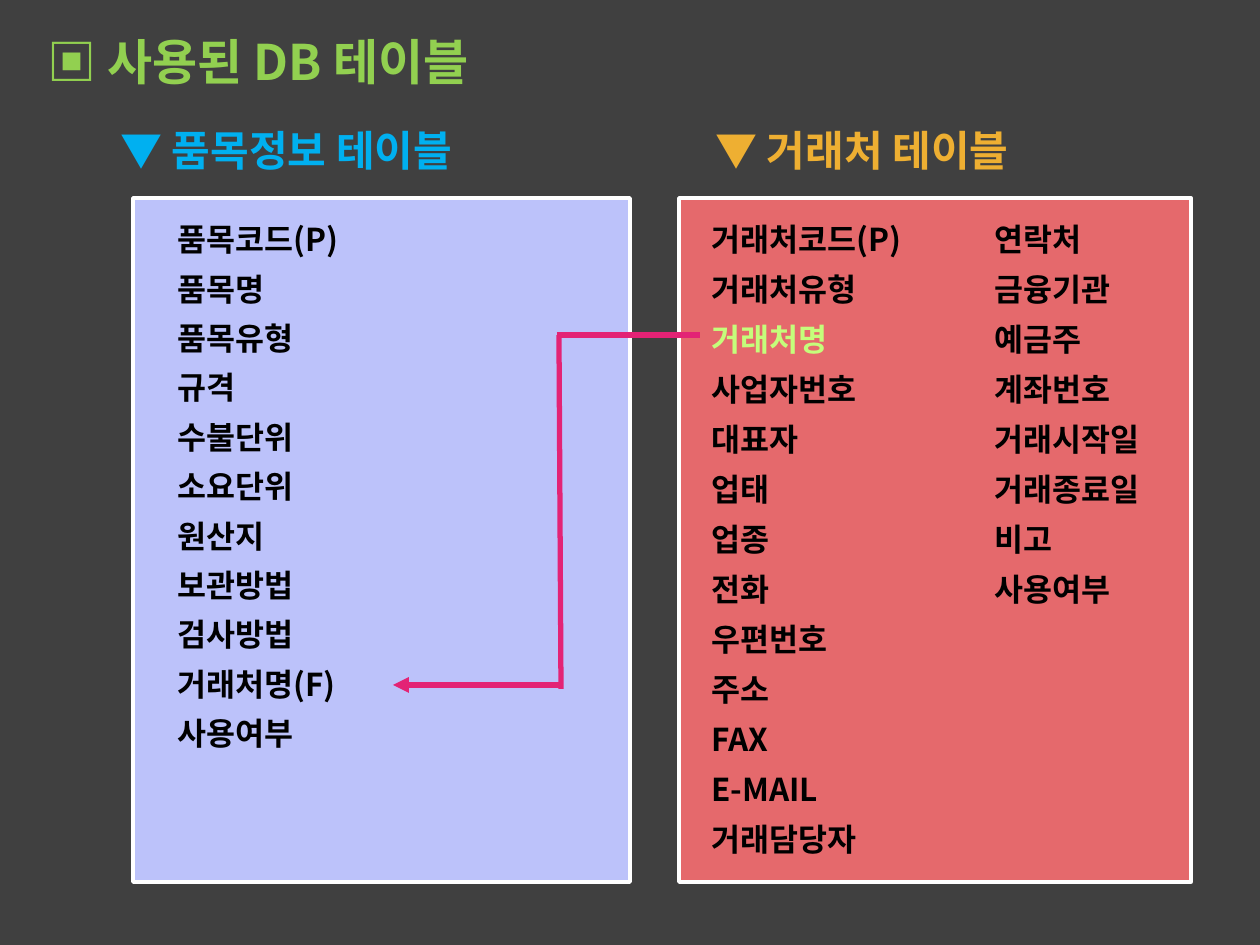
from pptx import Presentation
from pptx.dml.color import RGBColor
from pptx.enum.shapes import MSO_CONNECTOR, MSO_SHAPE
from pptx.enum.text import MSO_ANCHOR, MSO_AUTO_SIZE, PP_ALIGN
from pptx.oxml.ns import qn
from pptx.util import Pt
from lxml.etree import SubElement

EMU_PER_PX = 914400 / 126
SLIDE_W, SLIDE_H = 1260, 945
FONT = "Noto Sans CJK KR"

CHARCOAL = RGBColor(0x40, 0x40, 0x40)
WHITE = RGBColor(0xFF, 0xFF, 0xFF)
BLACK = RGBColor(0x00, 0x00, 0x00)
GREEN = RGBColor(0x92, 0xD0, 0x50)
LIME = RGBColor(0xC5, 0xFD, 0x7B)
BLUE = RGBColor(0x00, 0xB0, 0xF0)
AMBER = RGBColor(0xEE, 0xAF, 0x32)
LAVENDER = RGBColor(0xBC, 0xC2, 0xFA)
CORAL = RGBColor(0xE5, 0x69, 0x6C)
PINK = RGBColor(0xE3, 0x23, 0x75)

# Content
TITLE = "▣ 사용된 DB 테이블"
PANEL_TOP, PANEL_H = 198, 684
FIELD_TOP, FIELD_H = 214, 50
TABLES = [
    {"heading": "▼ 품목정보 테이블", "heading_left": 108, "color": BLUE,
     "left": 133, "width": 497, "fill": LAVENDER, "last_field_top": 708,
     "columns": [
         (165, 198, ["품목코드(P)", "품목명", "품목유형", "규격", "수불단위", "소요단위",
                     "원산지", "보관방법", "검사방법", "거래처명(F)", "사용여부"])]},
    {"heading": "▼ 거래처 테이블", "heading_left": 703, "color": AMBER,
     "left": 679, "width": 512, "fill": CORAL, "last_field_top": 814,
     "columns": [
         (699, 198, ["거래처코드(P)", "거래처유형", "거래처명", "사업자번호", "대표자",
                     "업태", "업종", "전화", "우편번호", "주소", "FAX", "E-MAIL",
                     "거래담당자"]),
         (982, 158, ["연락처", "금융기관", "예금주", "계좌번호", "거래시작일",
                     "거래종료일", "비고", "사용여부"])]},
]
FIELD_WIDTHS = {"품목코드(P)": 329, "거래처명(F)": 267, "거래처코드(P)": 329,
                "주소": 426, "FAX": 387, "거래시작일": 184, "거래종료일": 184,
                "비고": 88}
REFERENCED_FIELD = "거래처명"
# Foreign key route: start, end, arrowhead at start
KEY_ROUTE = [((557, 335), (700, 335), False),
             ((559, 335), (561, 689), False),
             ((393, 685), (562, 685), True)]


def px(*lengths):
    return [round(length * EMU_PER_PX) for length in lengths]


def write(text, *, left, top, width, height, size, color, holder=None):
    if holder is None:
        holder = slide.shapes.add_textbox(0, 0, 0, 0)
    holder.left, holder.top, holder.width, holder.height = px(left, top, width, height)
    frame = holder.text_frame
    frame.word_wrap = True
    frame.auto_size = MSO_AUTO_SIZE.SHAPE_TO_FIT_TEXT
    frame.vertical_anchor = MSO_ANCHOR.TOP
    paragraph = frame.paragraphs[0]
    paragraph.alignment = PP_ALIGN.LEFT
    paragraph.line_spacing = 1.0
    run = paragraph.add_run()
    run.text = text
    run.font.name, run.font.size, run.font.bold = FONT, Pt(size), True
    run.font.color.rgb = color
    SubElement(run.font._element, qn("a:ea")).set("typeface", FONT)


def add_panel(left, top, width, height, fill, border=None):
    panel = slide.shapes.add_shape(MSO_SHAPE.RECTANGLE, *px(left, top, width, height))
    panel.shadow.inherit = False
    panel.fill.solid()
    panel.fill.fore_color.rgb = fill
    if border is None:
        panel.line.fill.background()
    else:
        panel.line.color.rgb = border
        panel.line.width = Pt(2)
    return panel


def add_key_line(start, end, arrow):
    segment = slide.shapes.add_connector(MSO_CONNECTOR.STRAIGHT, *px(*start, *end))
    segment.line.color.rgb = PINK
    segment.line.width = Pt(3)
    if arrow:
        SubElement(segment.line._get_or_add_ln(), qn("a:headEnd")).set("type", "triangle")
    SubElement(segment._element.spPr, qn("a:effectLst"))


prs = Presentation()
prs.slide_width, prs.slide_height = px(SLIDE_W, SLIDE_H)
slide = prs.slides.add_slide(prs.slide_layouts[5])

# Backdrop, placed behind the title
backdrop = add_panel(0, 0, SLIDE_W, SLIDE_H, CHARCOAL)
slide.shapes.title._element.addprevious(backdrop._element)

write(TITLE, left=35, top=25, width=1037, height=72, size=28, color=GREEN,
      holder=slide.shapes.title)

# Table headings and panels
for table in TABLES:
    write(table["heading"], left=table["heading_left"], top=118, width=422, height=63,
          size=24, color=table["color"])
    add_panel(table["left"], PANEL_TOP, table["width"], PANEL_H, table["fill"], WHITE)

# Foreign key from one table to the other
for start, end, arrow in KEY_ROUTE:
    add_key_line(start, end, arrow)

# Fields, evenly spaced down to the last one of the first column
for table in TABLES:
    first_column = table["columns"][0][2]
    pitch = (table["last_field_top"] - FIELD_TOP) / (len(first_column) - 1)
    for left, width, fields in table["columns"]:
        for row, field in enumerate(fields):
            write(field, left=left, top=FIELD_TOP + row * pitch,
                  width=FIELD_WIDTHS.get(field, width), height=FIELD_H, size=18,
                  color=LIME if field == REFERENCED_FIELD else BLACK)

prs.save("out.pptx")
